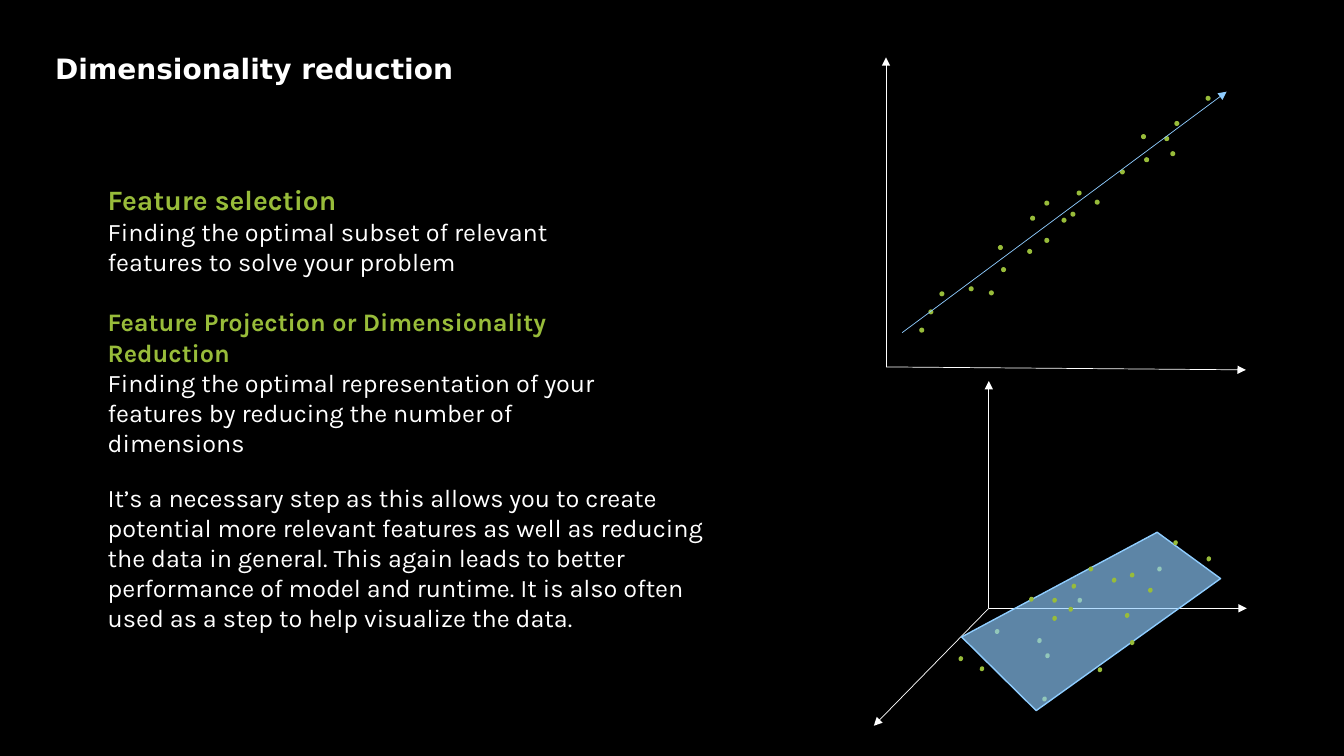
"""Build a slide on dimensionality reduction with a 2D and a 3D scatter sketch."""
from dataclasses import dataclass
from typing import Any

import pptx
import pptx.dml.color
import pptx.enum.shapes
import pptx.enum.text
import pptx.oxml
import pptx.oxml.ns
import pptx.util

HUES = {"black": "000000", "white": "FFFFFF", "green": "98BC3A", "blue": "8FCDFF"}
Pt = pptx.util.Pt
Point = tuple[float, float]


@dataclass(frozen=True)
class Span:
    text: str
    hue: str = "white"
    size: float = 18
    bold: bool = False


@dataclass(frozen=True)
class Para:
    spans: tuple[Span, ...]
    before: float = 0


@dataclass(frozen=True)
class Box:
    left: float
    top: float
    width: float
    height: float
    paras: tuple[Para, ...]
    face: str = "Karla"
    middle: bool = False


@dataclass(frozen=True)
class Arrow:
    start: Point
    end: Point
    hue: str = "white"


@dataclass(frozen=True)
class Cloud:
    dots: tuple[Point, ...]
    width: float = 3.6
    height: float = 3.6
    turn: float = 0


TITLE = Box(32.4, 31.7, 864, 33.8, (
    Para((Span("Dimensionality reduction", size=20, bold=True),)),
), face="DejaVu Sans", middle=True)

METHODS = Box(69.8, 126.7, 390.2, 227.5, (
    Para((
        Span("Feature selection", "green", 20, True),
        Span("Finding the optimal subset of relevant features to solve your problem"),
    )),
    Para((Span("Feature Projection or Dimensionality Reduction", "green", bold=True),), 21.6),
    Para((Span("Finding the optimal representation of your features by reducing "
               "the number of dimensions"),)),
))

REASON = Box(69.8, 340.6, 454.3, 116.6, (
    Para((Span("It’s a necessary step as this allows you to create potential more relevant "
               "features as well as reducing the data in general. This again leads to better "
               "performance of model and runtime. It is also often used as a step to help "
               "visualize the data."),)),
))

FLAT_AXES = (
    Arrow((632.9, 262.1), (632.9, 41)),
    Arrow((632.9, 262.1), (889.9, 264.2)),
)
TREND = Arrow((644.4, 237.6), (876.2, 65.5), "blue")
DEEP_AXES = (
    Arrow((706.3, 434.5), (706.3, 272.2)),
    Arrow((706.3, 434.5), (890.6, 434.5)),
    Arrow((706.3, 434.5), (624.2, 518.4)),
)

FLAT = Cloud((
    (712.8, 175), (735.8, 154.1), (715, 190.8), (799.9, 121), (769, 136.1),
    (745.9, 169.9), (781.9, 142.6), (831.6, 97.2), (706.3, 207.4), (663.1, 221),
    (671, 208.1), (733.7, 177.8), (815, 95.8), (835.9, 108), (764.6, 151.2),
    (838.8, 86.4), (656.6, 234), (691.9, 204.5), (817.2, 112.3), (745.9, 143.3),
    (758.2, 155.5), (861.1, 68.4),
))
BELOW = Cloud((
    (769.7, 427), (740.9, 455.8), (699.8, 475.9), (710.6, 449.3), (826.6, 404.6),
    (784.1, 476.6), (684.7, 468.7), (746.6, 466.6), (744.5, 497.5),
), width=3.2, turn=17.8)
ABOVE = Cloud((
    (777.6, 404.6), (751.7, 439.9), (838.1, 385.9), (807.1, 409), (803.5, 437.8),
    (763.2, 433.4), (735.1, 426.2), (794.2, 412.6), (861.8, 397.4), (765.4, 416.9),
    (751.7, 427), (820.1, 419.8), (807.1, 457.2),
), width=3.2, turn=17.8)
PLANE: tuple[Point, ...] = ((686.9, 455), (740.2, 507.6), (871.9, 413.3), (826.6, 380.2))


def tint(hue: str) -> pptx.dml.color.RGBColor:
    return pptx.dml.color.RGBColor.from_string(HUES[hue])


def style(font: Any, span: Span) -> None:
    font.size = Pt(span.size)
    font.bold = span.bold
    font.color.rgb = tint(span.hue)


def draw_box(shapes: Any, box: Box) -> None:
    frame = shapes.add_textbox(
        Pt(box.left), Pt(box.top), Pt(box.width), Pt(box.height)).text_frame
    frame.word_wrap = True
    if box.middle:
        frame.vertical_anchor = pptx.enum.text.MSO_ANCHOR.MIDDLE
    for order, para in enumerate(box.paras):
        line = frame.add_paragraph() if order else frame.paragraphs[0]
        if para.before:
            line.space_before = Pt(para.before)
        line.font.name = box.face
        if len(para.spans) == 1:
            style(line.font, para.spans[0])
        for place, span in enumerate(para.spans):
            if place:
                line.add_line_break()
            run = line.add_run()
            run.text = span.text
            if len(para.spans) > 1:
                style(run.font, span)


def draw_arrow(shapes: Any, arrow: Arrow) -> None:
    link = shapes.add_connector(
        pptx.enum.shapes.MSO_CONNECTOR.STRAIGHT,
        *(Pt(value) for value in arrow.start + arrow.end))
    link.line.color.rgb = tint(arrow.hue)
    link.line.width = Pt(0.5)
    tail = pptx.oxml.parse_xml(
        f'<a:tailEnd {pptx.oxml.ns.nsdecls("a")} type="triangle"/>')
    link.line._get_or_add_ln().append(tail)
    link._element.spPr.append(
        pptx.oxml.parse_xml(f'<a:effectLst {pptx.oxml.ns.nsdecls("a")}/>'))


def draw_cloud(shapes: Any, cloud: Cloud) -> None:
    group = shapes.add_group_shape()
    for left, top in cloud.dots:
        dot = group.shapes.add_shape(
            pptx.enum.shapes.MSO_SHAPE.OVAL,
            Pt(left), Pt(top), Pt(cloud.width), Pt(cloud.height))
        dot.shadow.inherit = False
        dot.rotation = cloud.turn
        dot.fill.solid()
        dot.fill.fore_color.rgb = tint("green")
        dot.line.fill.background()


def draw_plane(shapes: Any, points: tuple[Point, ...]) -> None:
    first, *rest = [(Pt(left), Pt(top)) for left, top in points]
    pen = shapes.build_freeform(*first)
    pen.add_line_segments(rest, close=True)
    plane = pen.convert_to_shape()
    plane.shadow.inherit = False
    plane.fill.solid()
    plane.fill.fore_color.rgb = tint("blue")
    shade = plane._element.spPr.find(
        f'{pptx.oxml.ns.qn("a:solidFill")}/{pptx.oxml.ns.qn("a:srgbClr")}')
    shade.append(pptx.oxml.parse_xml(
        f'<a:alpha {pptx.oxml.ns.nsdecls("a")} val="65000"/>'))
    plane.line.color.rgb = tint("blue")
    plane.line.width = Pt(1)


def main() -> None:
    deck = pptx.Presentation()
    deck.slide_width, deck.slide_height = Pt(960), Pt(540)
    slide = deck.slides.add_slide(deck.slide_layouts[6])
    slide.background.fill.solid()
    slide.background.fill.fore_color.rgb = tint("black")
    shapes = slide.shapes
    for box in (TITLE, METHODS, REASON):
        draw_box(shapes, box)
    for arrow in FLAT_AXES + DEEP_AXES:
        draw_arrow(shapes, arrow)
    draw_cloud(shapes, FLAT)
    draw_arrow(shapes, TREND)
    draw_cloud(shapes, BELOW)
    draw_plane(shapes, PLANE)
    draw_cloud(shapes, ABOVE)
    deck.save("out.pptx")


if __name__ == "__main__":
    main()
